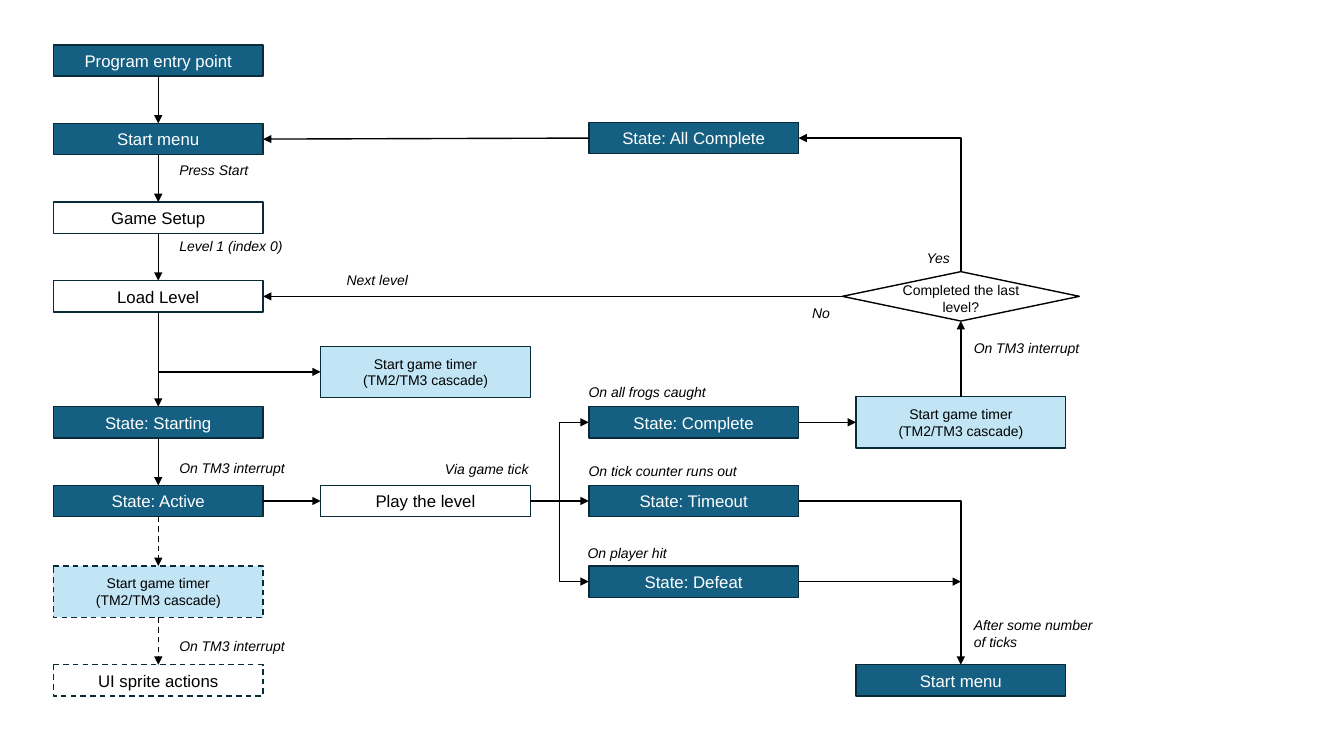
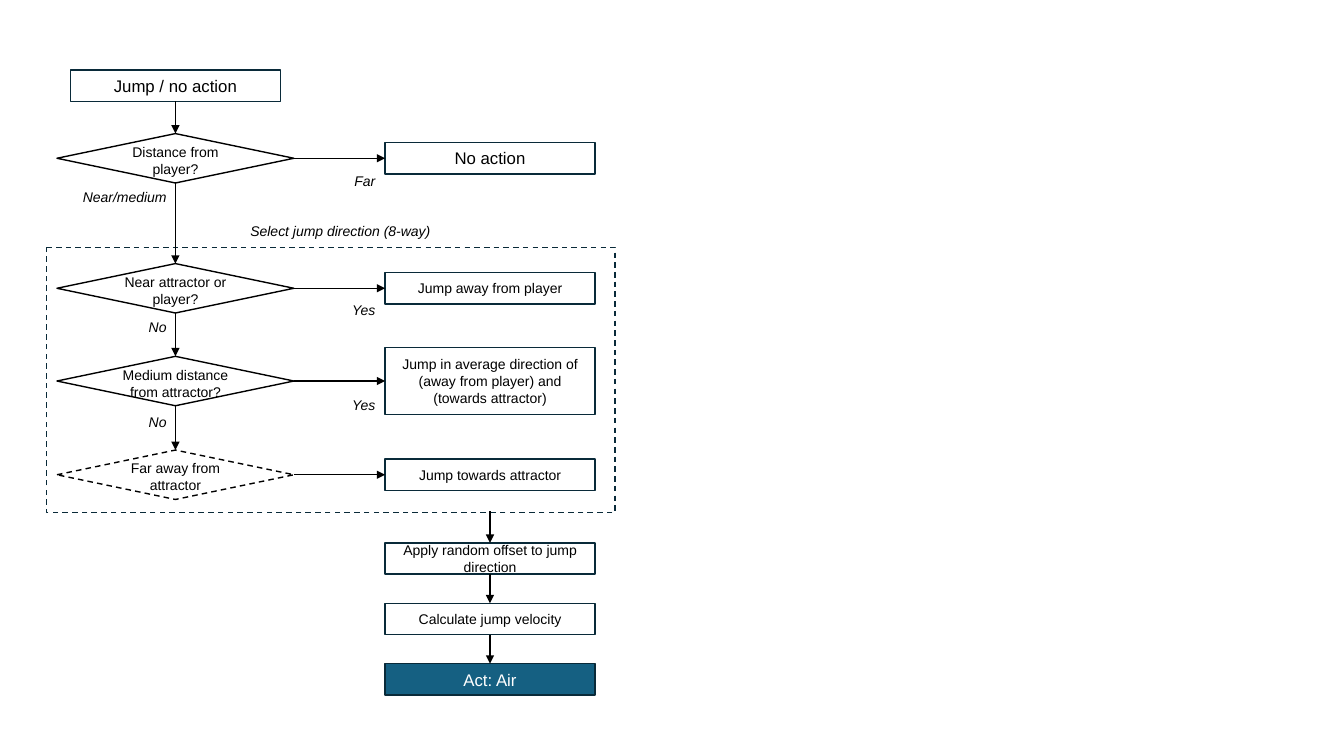
import dataclasses

import pptx
import pptx.dml.color
import pptx.enum.dml
import pptx.enum.shapes
import pptx.enum.text
import pptx.oxml
import pptx.oxml.ns
import pptx.util

Inches = pptx.util.Inches
Pt = pptx.util.Pt
PROCESS = pptx.enum.shapes.MSO_SHAPE.FLOWCHART_PROCESS
DECISION = pptx.enum.shapes.MSO_SHAPE.FLOWCHART_DECISION
CONNECTOR = pptx.enum.shapes.MSO_CONNECTOR
ALIGN = pptx.enum.text.PP_ALIGN
TOP, LEFT, BOTTOM, RIGHT = range(4)


@dataclasses.dataclass(frozen=True)
class Theme:
    font: str = "Arial"
    state: str = "156082"
    timer: str = "C1E5F5"
    white: str = "FFFFFF"
    black: str = "000000"
    outline: str = "092A39"
    large: int = 12
    small: int = 10
    stroke: int = 1


THEME = Theme()


@dataclasses.dataclass(frozen=True)
class Style:
    fill: str | None = THEME.white
    ink: str = THEME.black
    size: int = THEME.large
    width: float = 2.08
    height: float = 0.31
    outline: str = THEME.outline
    preset: int = PROCESS


STYLES = {
    "state": Style(fill=THEME.state, ink=THEME.white),
    "step": Style(),
    "detail": Style(size=THEME.small),
    "blend": Style(size=THEME.small, height=0.66),
    "timer": Style(fill=THEME.timer, size=THEME.small, height=0.51),
    "decision": Style(size=THEME.small, width=2.35, height=0.49,
                      outline=THEME.black, preset=DECISION),
    "group": Style(fill=None, width=5.64, height=2.63),
}

MAIN, PLAY, OUTCOME, FINISH = 1.57, 4.22, 6.88, 9.53
ENTRY, MENU, SETUP, LOAD = (0.6 + 0.78 * row for row in range(4))
STARTING, ACTIVE, DEFEAT, END = 4.19, 4.97, 5.77, 6.75
TIMER_TEXT = "Start game timer\n(TM2/TM3 cascade)"

GAME_NODES = {
    "entry": ("Program entry point", "state", MAIN, ENTRY),
    "menu": ("Start menu", "state", MAIN, MENU),
    "setup": ("Game Setup", "step", MAIN, SETUP),
    "load": ("Load Level", "step", MAIN, LOAD),
    "starting": ("State: Starting", "state", MAIN, STARTING),
    "active": ("State: Active", "state", MAIN, ACTIVE),
    "ui timer": (TIMER_TEXT, "timer", MAIN, 5.87, "dash"),
    "sprites": ("UI sprite actions", "step", MAIN, END, "dash"),
    "start timer": (TIMER_TEXT, "timer", PLAY, 3.69),
    "play": ("Play the level", "step", PLAY, ACTIVE),
    "all complete": ("State: All Complete", "state", OUTCOME, 1.37),
    "complete": ("State: Complete", "state", OUTCOME, STARTING),
    "timeout": ("State: Timeout", "state", OUTCOME, ACTIVE),
    "defeat": ("State: Defeat", "state", OUTCOME, DEFEAT),
    "last level": ("Completed the last level?", "decision", FINISH, LOAD),
    "end timer": (TIMER_TEXT, "timer", FINISH, STARTING),
    "back to menu": ("Start menu", "state", FINISH, END),
}
GAME_LINKS = [
    ("entry", BOTTOM, "menu", TOP),
    ("menu", BOTTOM, "setup", TOP),
    ("setup", BOTTOM, "load", TOP),
    ("load", BOTTOM, "starting", TOP),
    ((MAIN, 3.69), None, "start timer", LEFT),
    ("starting", BOTTOM, "active", TOP),
    ("active", RIGHT, "play", LEFT),
    ("active", BOTTOM, "ui timer", TOP, "dash"),
    ("ui timer", BOTTOM, "sprites", TOP, "dash"),
    ("play", RIGHT, "timeout", LEFT),
    ("play", RIGHT, "complete", LEFT, "elbow"),
    ("play", RIGHT, "defeat", LEFT, "elbow"),
    ("complete", RIGHT, "end timer", LEFT),
    ("end timer", TOP, "last level", BOTTOM),
    ("last level", LEFT, "load", RIGHT),
    ("all complete", RIGHT, "last level", TOP, "corner", "reverse"),
    ("all complete", LEFT, "menu", RIGHT),
    ("timeout", RIGHT, "back to menu", TOP, "corner"),
    ("defeat", RIGHT, (FINISH, DEFEAT), None),
]
GAME_LABELS = [
    ("Press Start", 1.68, 1.55, 1.86, ALIGN.LEFT),
    ("Level 1 (index 0)", 1.68, 2.31, 1.86, ALIGN.LEFT),
    ("On TM3 interrupt", 1.68, 4.51, 1.86, ALIGN.LEFT),
    ("On TM3 interrupt", 1.68, 6.28, 1.86, ALIGN.LEFT),
    ("Next level", 3.34, 2.64, 1.86, ALIGN.LEFT),
    ("Via game tick", 3.48, 4.52, 1.86, ALIGN.RIGHT),
    ("On all frogs caught", 5.74, 3.76, 1.86, ALIGN.LEFT),
    ("On tick counter runs out", 5.74, 4.54, 1.86, ALIGN.LEFT),
    ("On player hit", 5.73, 5.35, 1.86, ALIGN.LEFT),
    ("No", 6.47, 2.97, 1.86, ALIGN.RIGHT),
    ("Yes", 7.66, 2.43, 1.86, ALIGN.RIGHT),
    ("On TM3 interrupt", 9.56, 3.32, 1.86, ALIGN.LEFT),
    ("After some number of ticks", 9.56, 6.07, 1.42, ALIGN.LEFT),
]

CHECK, ACTION = 1.74, 4.86
DISTANCE, NEAR, MEDIUM, FAR = 1.57, 2.86, 3.78, 4.71
OFFSET, VELOCITY, AIR = (5.54 + 0.6 * row for row in range(3))

JUMP_NODES = {
    "jump": ("Jump / no action", "step", CHECK, 0.85),
    "distance": ("Distance from player?", "decision", CHECK, DISTANCE),
    "near": ("Near attractor or player?", "decision", CHECK, NEAR),
    "medium": ("Medium distance from attractor?", "decision", CHECK, MEDIUM),
    "far": ("Far away from attractor", "decision", CHECK, FAR, "dash"),
    "no action": ("No action", "step", ACTION, DISTANCE),
    "away": ("Jump away from player", "detail", ACTION, NEAR),
    "average": ("Jump in average direction of\n(away from player) and\n"
                "(towards attractor)", "blend", ACTION, MEDIUM),
    "towards": ("Jump towards attractor", "detail", ACTION, FAR),
    "direction": ("", "group", 3.28, 3.77, "dash"),
    "offset": ("Apply random offset to jump direction", "detail", ACTION, OFFSET),
    "velocity": ("Calculate jump velocity", "detail", ACTION, VELOCITY),
    "air": ("Act: Air", "state", ACTION, AIR),
}
JUMP_LINKS = [
    ("jump", BOTTOM, "distance", TOP),
    ("distance", BOTTOM, "near", TOP),
    ("near", BOTTOM, "medium", TOP),
    ("medium", BOTTOM, "far", TOP),
    ("distance", RIGHT, "no action", LEFT),
    ("near", RIGHT, "away", LEFT),
    ("medium", RIGHT, "average", LEFT),
    ("far", RIGHT, "towards", LEFT),
    ((ACTION, 5.07), None, "offset", TOP),
    ("offset", BOTTOM, "velocity", TOP),
    ("velocity", BOTTOM, "air", TOP),
]
JUMP_LABELS = [
    ("Near/medium", 0.17, 1.82, 1.58, ALIGN.RIGHT),
    ("No", 0.17, 3.11, 1.58, ALIGN.RIGHT),
    ("No", 0.17, 4.05, 1.58, ALIGN.RIGHT),
    ("Far", 2.24, 1.66, 1.58, ALIGN.RIGHT),
    ("Yes", 2.24, 2.94, 1.58, ALIGN.RIGHT),
    ("Yes", 2.24, 3.88, 1.58, ALIGN.RIGHT),
    ("Select jump direction (8-way)", 2.29, 2.16, 2.17, ALIGN.CENTER),
]

FLOWCHARTS = [
    (GAME_NODES, GAME_LINKS, GAME_LABELS),
    (JUMP_NODES, JUMP_LINKS, JUMP_LABELS),
]


def rgb(value):
    return pptx.dml.color.RGBColor.from_string(value)


def write(frame, text, size, ink, align, italic=False):
    frame.word_wrap = True
    for index, line in enumerate(text.split("\n")):
        paragraph = frame.paragraphs[0] if index == 0 else frame.add_paragraph()
        paragraph.alignment = align
        run = paragraph.add_run()
        run.text = line
        run.font.name = THEME.font
        run.font.size = Pt(size)
        run.font.italic = italic
        run.font.color.rgb = rgb(ink)


def draw_line(line, color, dashed):
    line.color.rgb = rgb(color)
    line.width = Pt(THEME.stroke)
    if dashed:
        line.dash_style = pptx.enum.dml.MSO_LINE.DASH


def add_node(slide, text, style_name, x, y, *options):
    style = STYLES[style_name]
    node = slide.shapes.add_shape(
        style.preset, Inches(x - style.width / 2), Inches(y - style.height / 2),
        Inches(style.width), Inches(style.height))
    node.shadow.inherit = False
    if style.fill:
        node.fill.solid()
        node.fill.fore_color.rgb = rgb(style.fill)
    else:
        node.fill.background()
    draw_line(node.line, style.outline, "dash" in options)
    frame = node.text_frame
    frame.vertical_anchor = pptx.enum.text.MSO_ANCHOR.MIDDLE
    if style.preset == DECISION:
        frame.margin_left = frame.margin_right = frame.margin_bottom = 0
        frame.margin_top = Inches(0.04)
    if text:
        write(frame, text, style.size, style.ink, ALIGN.CENTER)
    return node


def add_link(slide, nodes, start, start_side, end, end_side, *options):
    bent = "elbow" in options or "corner" in options
    points = [Inches(value)
              for place, side in ((start, start_side), (end, end_side))
              for value in (place if side is None else (0, 0))]
    link = slide.shapes.add_connector(
        CONNECTOR.ELBOW if bent else CONNECTOR.STRAIGHT, *points)
    if start_side is not None:
        link.begin_connect(nodes[start], start_side)
    if end_side is not None:
        link.end_connect(nodes[end], end_side)
    properties = link._element.spPr
    if "corner" in options:
        properties.find(pptx.oxml.ns.qn("a:prstGeom")).set("prst", "bentConnector2")
    if start_side is None or end_side is None:
        straighten(link, start_side, end_side)
    draw_line(link.line, THEME.black, "dash" in options)
    arrowhead = "a:headEnd" if "reverse" in options else "a:tailEnd"
    head = pptx.oxml.parse_xml(
        f'<{arrowhead} {pptx.oxml.ns.nsdecls("a")} type="triangle"/>')
    link.get_or_add_ln().append(head)
    properties.append(pptx.oxml.parse_xml(
        f'<a:effectLst {pptx.oxml.ns.nsdecls("a")}/>'))


def straighten(link, start_side, end_side):
    joined = end_side if start_side is None else start_side
    if joined in (LEFT, RIGHT):
        if start_side is None:
            link.begin_y = link.end_y
        else:
            link.end_y = link.begin_y
    elif start_side is None:
        link.begin_x = link.end_x
    else:
        link.end_x = link.begin_x


def add_label(slide, text, left, top, width, align):
    label = slide.shapes.add_textbox(
        Inches(left), Inches(top), Inches(width), Inches(0.27))
    label.text_frame.auto_size = pptx.enum.text.MSO_AUTO_SIZE.SHAPE_TO_FIT_TEXT
    write(label.text_frame, text, THEME.small, THEME.black, align, italic=True)


def main():
    deck = pptx.Presentation()
    deck.slide_width, deck.slide_height = Inches(13.33), Inches(7.5)
    for nodes, links, labels in FLOWCHARTS:
        slide = deck.slides.add_slide(deck.slide_layouts[6])
        placed = {key: add_node(slide, *node) for key, node in nodes.items()}
        for link in links:
            add_link(slide, placed, *link)
        for label in labels:
            add_label(slide, *label)
    deck.save("out.pptx")


if __name__ == "__main__":
    main()
